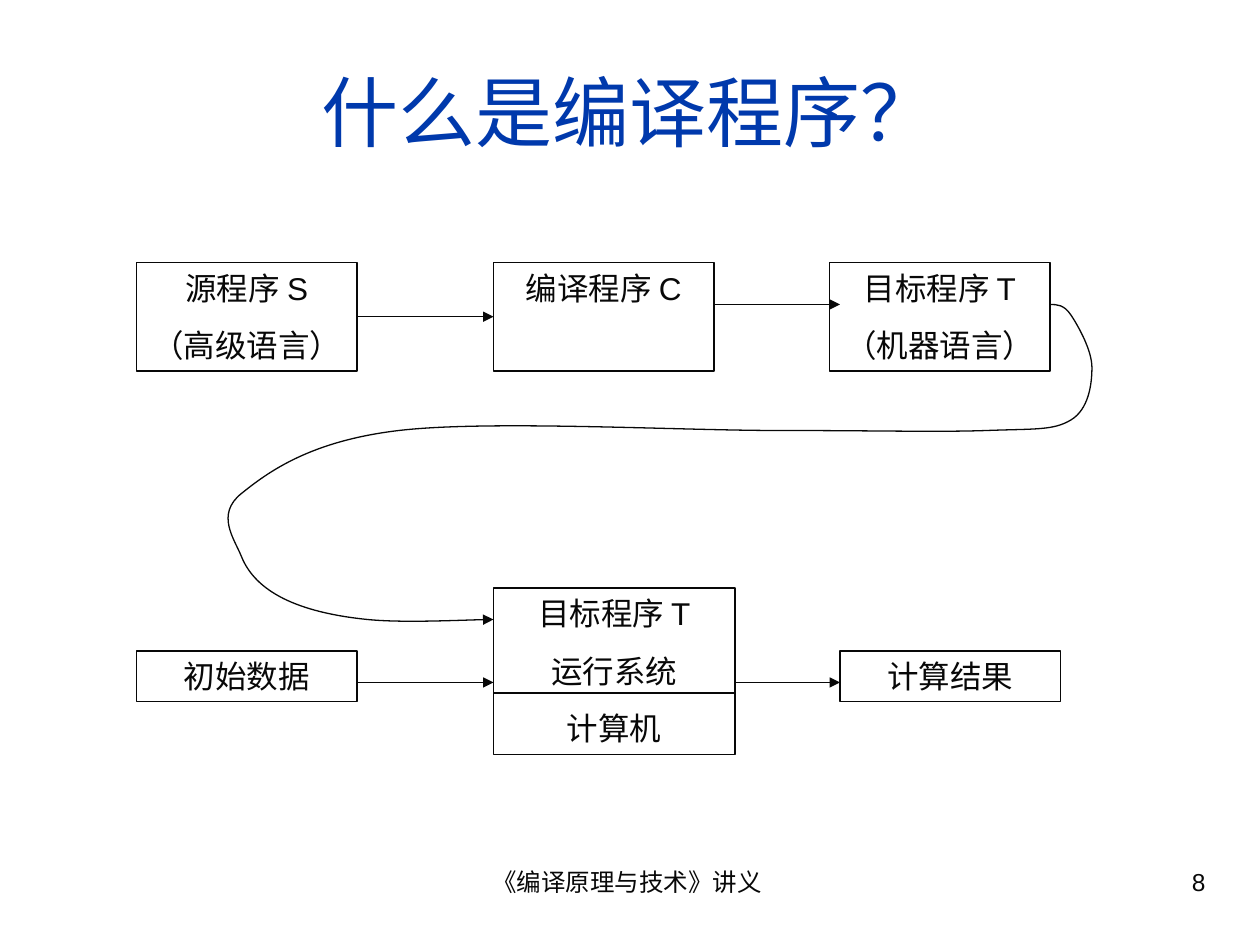
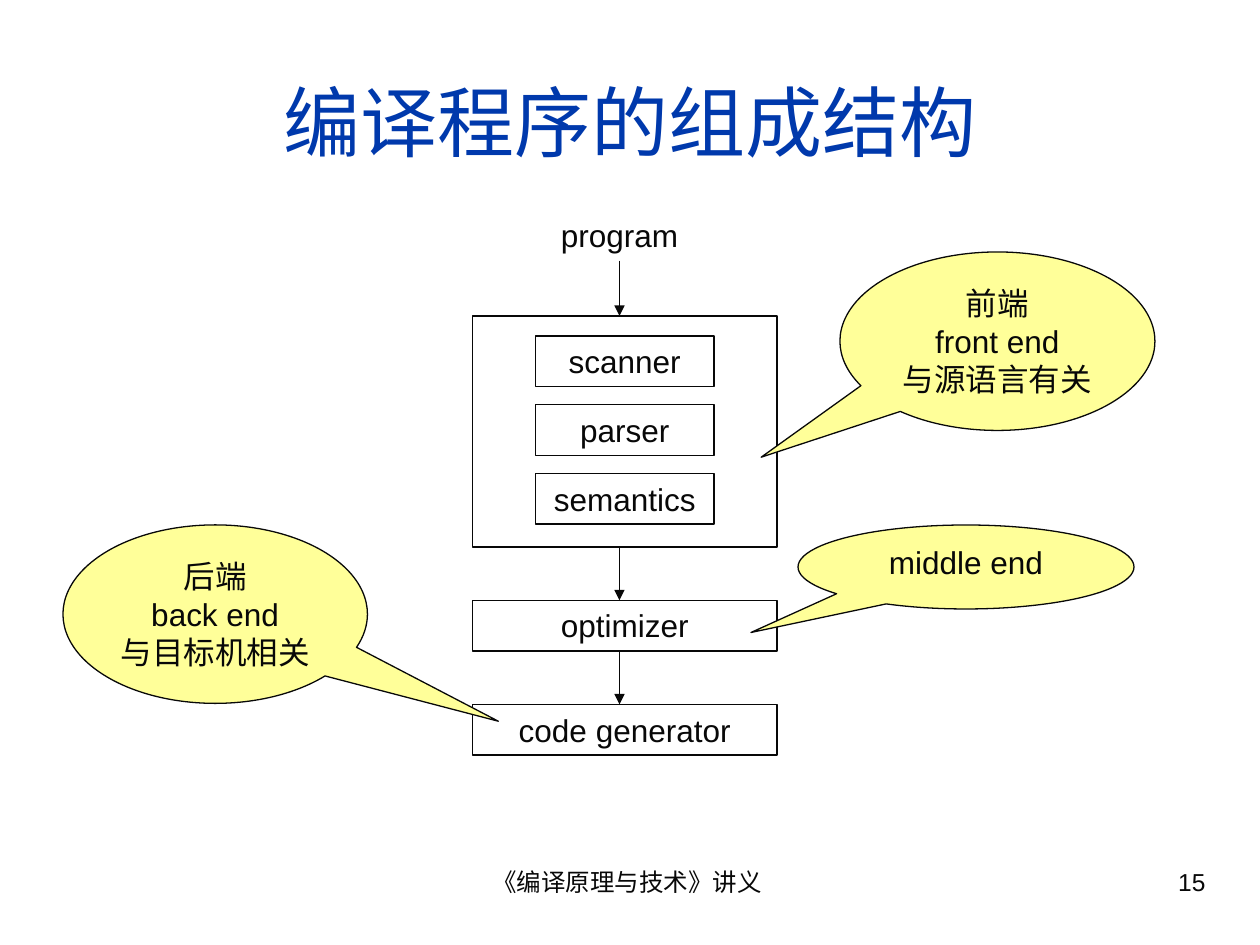
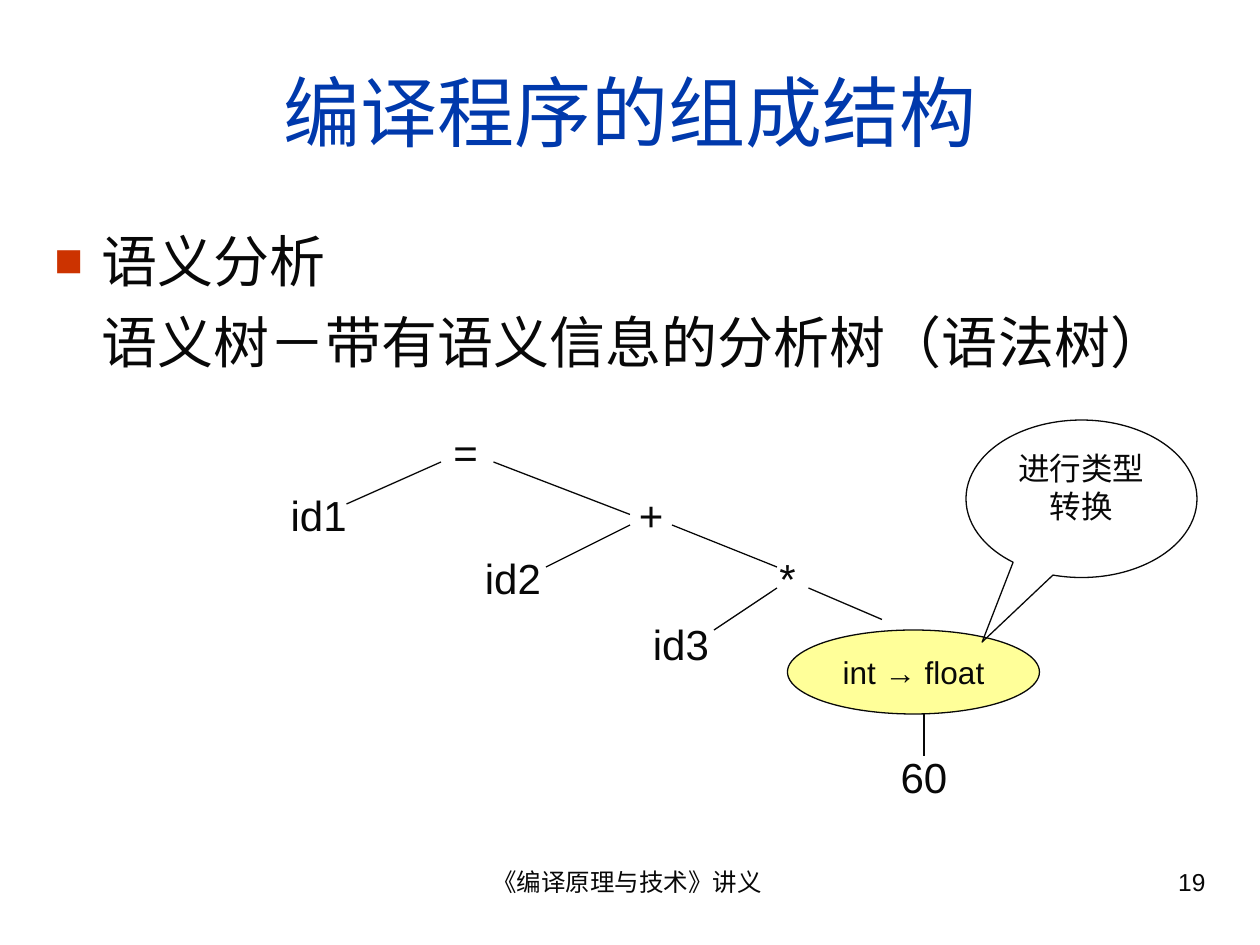
"""Build three lecture slides on how a compiler is organised."""
from lxml.etree import SubElement
from pptx import Presentation
from pptx.dml.color import RGBColor
from pptx.enum.shapes import MSO_CONNECTOR, MSO_SHAPE
from pptx.enum.text import MSO_ANCHOR, MSO_AUTO_SIZE, PP_ALIGN
from pptx.oxml.ns import qn
from pptx.util import Pt

COLORS = {"title": "0039AC", "ink": "080808", "bubble": "FFFF99", "bullet": "CC3300"}
FONT = "Arial"
FOOTER = "《编译原理与技术》讲义 "
TITLE_ONLY = 5
RIGHT, LEFT, BOTTOM = 3, 1, 2


def color(name):
    """Look up a palette colour."""
    return RGBColor.from_string(COLORS[name])


def write(frame, lines, size, align=PP_ALIGN.CENTER, before=0, ink="ink", anchor=MSO_ANCHOR.TOP):
    """Fill a text frame with one paragraph for each line."""
    frame.auto_size = MSO_AUTO_SIZE.NONE
    frame.word_wrap = True
    frame.vertical_anchor = anchor
    for index, line in enumerate(lines):
        paragraph = frame.add_paragraph() if index else frame.paragraphs[0]
        paragraph.alignment = align
        paragraph.space_before = Pt(before)
        run = paragraph.add_run()
        run.text = line
        run.font.name = FONT
        run.font.size = Pt(size)
        run.font.color.rgb = color(ink)


def add_label(slide, place, lines, size, **style):
    """Add a plain text box."""
    label = slide.shapes.add_textbox(*map(Pt, place))
    write(label.text_frame, lines, size, **style)
    return label


def outline(shape, fill=None):
    """Give a shape a thin dark line and an optional fill."""
    shape.shadow.inherit = False
    shape.line.color.rgb = color("ink")
    shape.line.width = Pt(0.75)
    if fill:
        shape.fill.solid()
        shape.fill.fore_color.rgb = color(fill)
    else:
        shape.fill.background()


def add_box(slide, place, lines=()):
    """Add an outlined rectangle with centred lines."""
    box = slide.shapes.add_shape(MSO_SHAPE.RECTANGLE, *map(Pt, place))
    outline(box)
    write(box.text_frame, lines, 18, before=11.2)
    return box


def add_callout(slide, place, lines, tip, fill="bubble"):
    """Add an oval speech bubble whose tip is relative to its centre."""
    callout = slide.shapes.add_shape(MSO_SHAPE.OVAL_CALLOUT, *map(Pt, place))
    callout.adjustments[0], callout.adjustments[1] = tip
    outline(callout, fill)
    write(callout.text_frame, lines, 18)


def add_arrowhead(shape):
    """Put a triangle at the end of a line."""
    SubElement(shape.line._get_or_add_ln(), qn("a:tailEnd"), type="triangle")


def add_line(slide, ends, arrow=False):
    """Add a straight line given as x1, y1, x2, y2."""
    line = slide.shapes.add_connector(MSO_CONNECTOR.STRAIGHT, *map(Pt, ends))
    line.line.color.rgb = color("ink")
    line.line.width = Pt(0.75)
    if arrow:
        add_arrowhead(line)
    SubElement(line._element.spPr, qn("a:effectLst"))
    return line


def add_curve(slide, start, controls):
    """Add an arrow of Bezier pieces, three control points to a piece."""
    builder = slide.shapes.build_freeform(*map(Pt, start))
    builder.add_line_segments([(Pt(x), Pt(y)) for x, y in controls], close=False)
    curve = builder.convert_to_shape()
    outline(curve)
    add_arrowhead(curve)
    segments = list(curve._element.iter(qn("a:lnTo")))
    for first in range(0, len(segments), 3):
        bezier = SubElement(segments[first].getparent(), qn("a:cubicBezTo"))
        for segment in segments[first:first + 3]:
            bezier.append(segment[0])
            segment.getparent().remove(segment)


def add_slide(deck, title, number, title_height=90):
    """Add a slide with its title, footer and number."""
    slide = deck.slides.add_slide(deck.slide_layouts[TITLE_ONLY])
    heading = slide.shapes.title
    heading.left, heading.top, heading.width, heading.height = map(Pt, (24, 18, 672, title_height))
    write(heading.text_frame, [title], 44, ink="title", anchor=MSO_ANCHOR.MIDDLE)
    add_label(slide, (246, 492, 228, 37), [FOOTER], 14)
    add_label(slide, (516, 492, 180, 37), [str(number)], 14, align=PP_ALIGN.RIGHT)
    return slide


def build_definition(deck):
    """Show source, compiler and target, then the target at run time."""
    slide = add_slide(deck, "什么是编译程序？", 8)
    source = add_box(slide, (78, 150, 126, 62), ["源程序 S", "（高级语言）"])
    compiler = add_box(slide, (282, 150, 126, 62), ["编译程序 C"])
    add_box(slide, (474, 150, 126, 62), ["目标程序 T", "（机器语言）"])
    add_box(slide, (78, 372, 126, 29), ["初始数据"])
    add_box(slide, (282, 336, 138, 95), ["目标程序 T", "运行系统", "计算机"])
    add_line(slide, (282, 396, 420, 396))
    add_box(slide, (480, 372, 126, 29), ["计算结果"])

    compiling = add_line(slide, (204, 181, 282, 181), arrow=True)
    compiling.begin_connect(source, RIGHT)
    compiling.end_connect(compiler, LEFT)
    for x1, x2, y in ((408, 480, 174), (204, 282, 390), (420, 480, 390)):
        add_line(slide, (x1, y, x2, y), arrow=True)

    add_curve(slide, (600, 174), [
        (604, 174), (608, 174), (612, 180),
        (616, 186), (624, 200), (624, 210),
        (624, 220), (622, 234), (612, 240),
        (602, 246), (592, 245), (564, 246),
        (536, 247), (500, 246), (444, 246),
        (388, 246), (279, 240), (228, 246),
        (177, 252), (153, 270), (138, 282),
        (123, 294), (134, 308), (138, 318),
        (142, 328), (150, 336), (162, 342),
        (174, 348), (190, 352), (210, 354),
        (230, 356), (270, 354), (282, 354),
    ])


def build_phases(deck):
    """Show the compiler's front, middle and back ends."""
    slide = add_slide(deck, "编译程序的组成结构", 15, title_height=102)
    add_box(slide, (270, 180.5, 174, 132))
    for row, phase in enumerate(("scanner", "parser", "semantics")):
        add_box(slide, (306, 192 + 39.25 * row, 102, 29), [phase])
    add_box(slide, (270, 343, 174, 29), ["optimizer"])
    add_box(slide, (270, 402.5, 174, 29), ["code generator"])
    program = add_label(slide, (288, 120, 132, 29), ["program"], 18, before=11.2)

    entry = add_line(slide, (354, 149, 354, 180.5), arrow=True)
    entry.begin_connect(program, BOTTOM)
    for top, bottom in ((312.5, 343), (372, 402.5)):
        add_line(slide, (354, top, 354, bottom), arrow=True)

    add_callout(slide, (480, 144, 180, 102), ["前端", "front end", "与源语言有关"], (-0.75, 0.65))
    add_callout(slide, (456, 300, 192, 48), ["middle end"], (-0.64, 0.78))
    add_callout(slide, (36, 300, 174, 102), ["后端", "back end", "与目标机相关"], (0.93, 0.6))


def add_outline_text(slide):
    """Add the bulleted heading and its unbulleted explanation."""
    lines = ["语义分析", "语义树－带有语义信息的分析树（语法树）"]
    body = add_label(slide, (24, 126, 672, 96), lines, 32, align=PP_ALIGN.LEFT, before=8)
    heading, explanation = (p._p.get_or_add_pPr() for p in body.text_frame.paragraphs)
    for properties, indent in ((heading, -27), (explanation, 0)):
        properties.set("marL", str(Pt(27)))
        properties.set("indent", str(Pt(indent)))
    SubElement(SubElement(heading, qn("a:buClr")), qn("a:srgbClr"), val=COLORS["bullet"])
    SubElement(heading, qn("a:buSzPct"), val="85000")
    SubElement(heading, qn("a:buFont"), typeface=FONT)
    SubElement(heading, qn("a:buChar"), char="■")


def build_semantic_tree(deck):
    """Show the syntax tree with its type conversion."""
    slide = add_slide(deck, "编译程序的组成结构", 19)
    add_outline_text(slide)

    identifiers = (("id1", 159, 276), ("id2", 270, 312), ("id3", 366, 350))
    operators = (("=", 236, 240), ("+", 342, 276), ("*", 420, 312), ("60", 498, 426))
    for nodes, align in ((identifiers, PP_ALIGN.LEFT), (operators, PP_ALIGN.CENTER)):
        for node, left, top in nodes:
            add_label(slide, (left, top, 60, 36), [node], 24, align=align, before=15)

    for branch in (
        (252, 264, 198, 288), (282, 264, 360, 294),
        (360, 300, 312, 324), (384, 300, 444, 324),
        (444, 336, 408, 360), (462, 336, 504, 354),
        (528, 408, 528, 432),
    ):
        add_line(slide, branch)

    conversion = slide.shapes.add_shape(MSO_SHAPE.OVAL, *map(Pt, (450, 360, 144, 48)))
    outline(conversion, "bubble")
    write(conversion.text_frame, ["int → float"], 18, anchor=MSO_ANCHOR.MIDDLE)
    conversion.text_frame.word_wrap = False
    add_callout(slide, (552, 240, 132, 90), ["进行类型转换"], (-0.43, 0.91), fill=None)


def main():
    """Build and save the deck."""
    deck = Presentation()
    deck.slide_width, deck.slide_height = Pt(720), Pt(540)
    build_definition(deck)
    build_phases(deck)
    build_semantic_tree(deck)
    deck.save("out.pptx")


if __name__ == "__main__":
    main()
